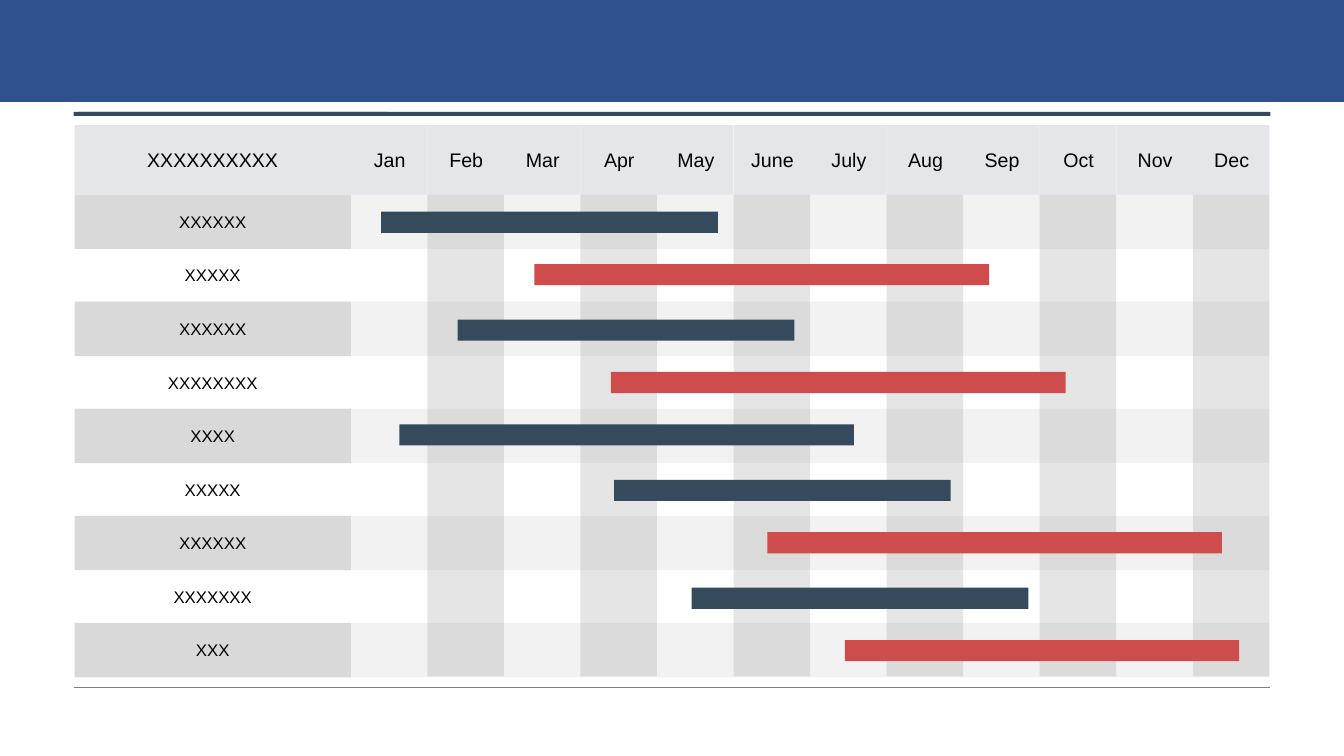
from lxml import etree
from pptx import Presentation
from pptx.dml.color import RGBColor
from pptx.enum.shapes import MSO_CONNECTOR, MSO_SHAPE
from pptx.enum.text import MSO_ANCHOR, PP_ALIGN
from pptx.oxml.ns import qn
from pptx.util import Inches, Pt

RECT = MSO_SHAPE.RECTANGLE
LINE = MSO_CONNECTOR.STRAIGHT
MID = MSO_ANCHOR.MIDDLE
CENTER = PP_ALIGN.CENTER

NAVY, RED, BLUE = "354A5D", "CE4C4B", "2F528F"
HEAD, LABEL, GRAY = "E4E6EA", "D9D9D9", "808080"

MONTHS = ["Jan", "Feb", "Mar", "Apr", "May", "June",
          "July", "Aug", "Sep", "Oct", "Nov", "Dec"]
TASKS = [
    ("XXXXXX", 3.78, 2.1, 3.34, NAVY),
    ("XXXXX", 5.3, 2.62, 4.51, RED),
    ("XXXXXX", 4.54, 3.17, 3.34, NAVY),
    ("XXXXXXXX", 6.06, 3.69, 4.51, RED),
    ("XXXX", 3.96, 4.21, 4.51, NAVY),
    ("XXXXX", 6.09, 4.76, 3.34, NAVY),
    ("XXXXXX", 7.61, 5.28, 4.51, RED),
    ("XXXXXXX", 6.86, 5.83, 3.34, NAVY),
    ("XXX", 8.38, 6.35, 3.91, RED),
]
LEFT, GRID, RIGHT = 0.74, 3.48, 12.59
TOP, BODY, END = 1.24, 1.93, 6.71
COL = (RIGHT - GRID) / len(MONTHS)
ROW = 4.25 / (len(TASKS) - 1)


def color(code):
    """Turn a hex string into a colour."""
    return RGBColor.from_string(code)


class Gantt:
    """Draws the parts of a year plan on one slide."""

    def __init__(self, slide, font="Arial", ink="000000"):
        self.shapes = slide.shapes
        self.font = font
        self.ink = ink

    def rect(self, x, y, w, h, fill, alpha=None):
        """Draw a plain rectangle, see-through if alpha is given."""
        box = self.shapes.add_shape(RECT, Inches(x), Inches(y), Inches(w), Inches(h))
        box.shadow.inherit = False
        box.line.fill.background()
        box.fill.solid()
        box.fill.fore_color.rgb = color(fill)
        if alpha:
            tint = box.fill._xPr.find(".//" + qn("a:srgbClr"))
            etree.SubElement(tint, qn("a:alpha")).set("val", str(alpha * 1000))

    def rule(self, x, y, end, ink, width):
        """Draw a thin level line."""
        line = self.shapes.add_connector(LINE, Inches(x), Inches(y), Inches(end), Inches(y))
        line.line.color.rgb = color(ink)
        line.line.width = Pt(width)
        etree.SubElement(line._element.spPr, qn("a:effectLst"))

    def text(self, x, y, w, h, words, size, wrap):
        """Write one centred line."""
        box = self.shapes.add_textbox(Inches(x), Inches(y), Inches(w), Inches(h))
        frame = box.text_frame
        frame.word_wrap = wrap
        frame.vertical_anchor = MID
        para = frame.paragraphs[0]
        para.alignment = CENTER
        run = para.add_run()
        run.text = words
        run.font.name = self.font
        run.font.size = Pt(size)
        run.font.color.rgb = color(self.ink)


def main():
    """Build the slide and save it."""
    deck = Presentation()
    deck.slide_width, deck.slide_height = Inches(13.33), Inches(7.5)
    plan = Gantt(deck.slides.add_slide(deck.slide_layouts[6]))

    plan.rect(0.78, 1.11, 11.82, 0.04, NAVY)
    plan.rect(0.73, 1.11, 3.12, 0.04, NAVY)
    plan.rule(0.73, 6.82, 12.6, GRAY, 0.5)

    for row in range(0, len(TASKS), 2):
        y = BODY + row * ROW
        plan.rect(GRID, y, RIGHT - GRID, 0.54, "BFBFBF", 20)
        plan.rect(LEFT, y, GRID - LEFT, 0.54, LABEL)

    plan.rect(LEFT, TOP, GRID - LEFT, BODY - TOP, HEAD)
    plan.text(LEFT, 1.35, GRID - LEFT, 0.46, "XXXXXXXXXX", 14, False)
    for col, month in enumerate(MONTHS):
        x = GRID + col * COL
        plan.rect(x, TOP, COL, BODY - TOP, HEAD)
        if col % 2:
            plan.rect(x, BODY, COL, END - BODY, GRAY, 20)
        plan.text(x + 0.01, 1.35, 0.75, 0.46, month, 14, False)

    for row, (name, x, y, w, fill) in enumerate(TASKS):
        plan.text(1.04, 2.05 + row * ROW, 2.14, 0.3, name, 12, True)
        plan.rect(x, y, w, 0.21, fill)

    plan.rect(0, 0, 13.33, 1.01, BLUE)
    deck.save("out.pptx")


if __name__ == "__main__":
    main()
